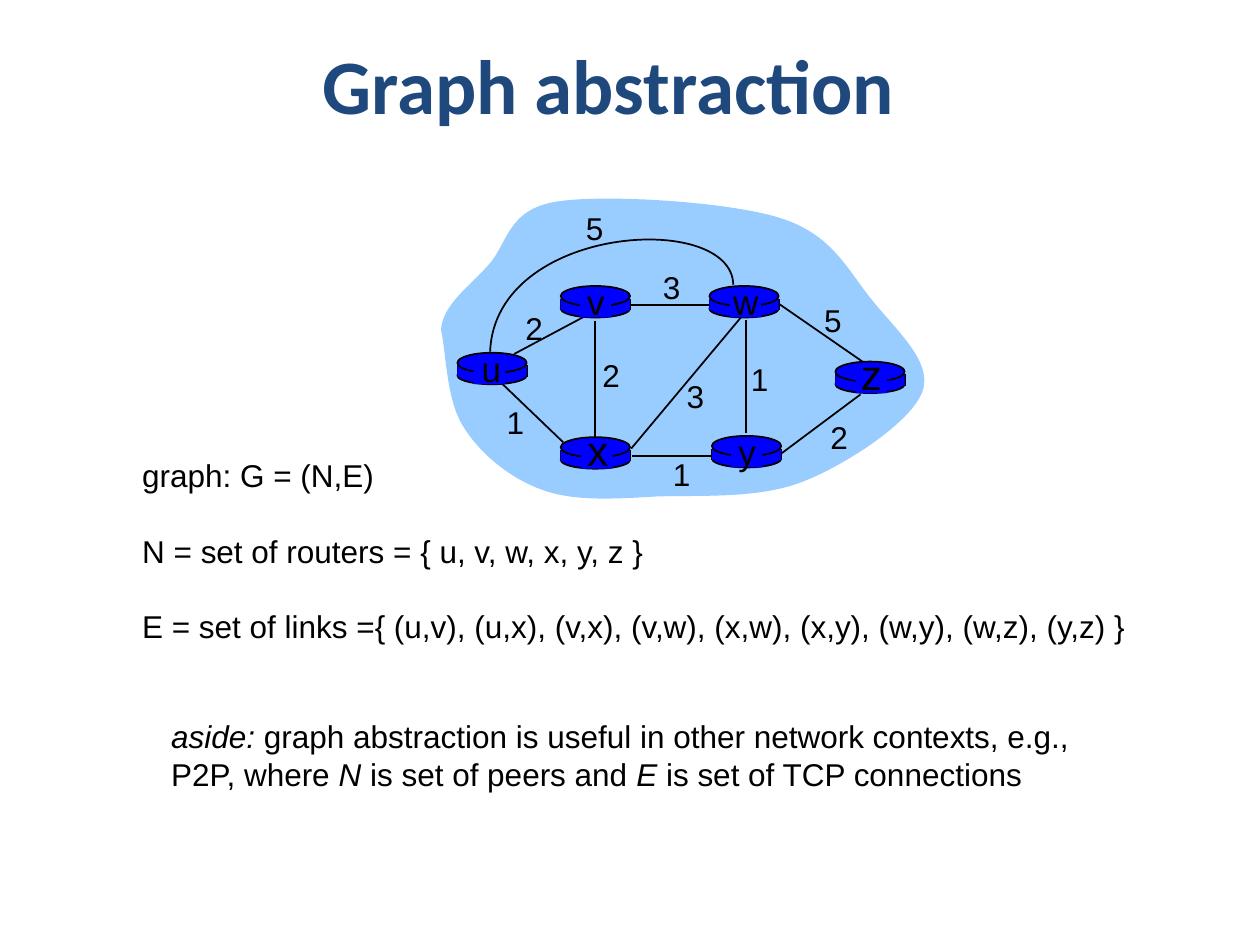
from pptx import Presentation
from pptx.dml.color import RGBColor
from pptx.enum.shapes import MSO_CONNECTOR, MSO_SHAPE
from pptx.enum.text import MSO_ANCHOR, PP_ALIGN
from pptx.oxml.ns import qn
from pptx.util import Pt
from lxml import etree

PX = 9144
BLACK = RGBColor(0x00, 0x00, 0x00)
BLUE = RGBColor(0x00, 0x00, 0xFF)
SKY = RGBColor(0x99, 0xCC, 0xFF)
NAVY = RGBColor(0x1F, 0x49, 0x7D)
BODY = {"name": "Arial", "size": Pt(18), "bold": False}
TITLE = {"name": "Calibri", "size": Pt(44), "bold": True}

prs = Presentation()
prs.slide_width, prs.slide_height = 1000 * PX, 750 * PX
s = prs.slides.add_slide(prs.slide_layouts[6])


def add_text(box, paragraphs, fmt, color=BLACK, align=PP_ALIGN.CENTER, wrap=False, gap=0):
    tf = s.shapes.add_textbox(*(v * PX for v in box)).text_frame
    tf.word_wrap = wrap
    for i, runs in enumerate(paragraphs):
        p = tf.add_paragraph() if i else tf.paragraphs[0]
        p.alignment = align
        p.line_spacing = Pt(fmt["size"].pt * 1.2)
        if i:
            p.space_before = Pt(gap)
        for words, italic in runs:
            r = p.add_run()
            r.text = words
            for key, value in {**fmt, "italic": italic}.items():
                setattr(r.font, key, value)
            r.font.color.rgb = color
    return tf


def add_curve(points, closed):
    builder = s.shapes.build_freeform(*points[0], scale=PX)
    builder.add_line_segments(points[1:], close=closed)
    sp = builder.convert_to_shape()
    sp.shadow.inherit = False
    steps = list(sp._element.iter(qn("a:lnTo")))
    for i in range(0, len(points) - 1, 3):
        bezier = etree.Element(qn("a:cubicBezTo"))
        steps[i].addprevious(bezier)
        for step in steps[i:i + 3]:
            bezier.append(step[0])
            step.getparent().remove(step)
    return sp


cloud = add_curve([
    (350, 262), (351, 242), (373, 227), (388, 210), (403, 193), (403, 166), (442, 160),
    (480, 154), (578, 160), (619, 173), (661, 186), (673, 215), (692, 238),
    (710, 261), (741, 287), (732, 311), (723, 335), (673, 368), (638, 382),
    (603, 396), (557, 393), (522, 394), (488, 396), (456, 398), (431, 389),
    (405, 380), (381, 360), (368, 339), (354, 318), (354, 278), (350, 262)], True)
cloud.fill.solid()
cloud.fill.fore_color.rgb = SKY
cloud.line.fill.background()

routers = [("u", 363, 280, 20, 13, 9, 36), ("x", 445, 347, 24, 16, 11, 37),
           ("v", 445, 227, 20, 15, 11, 34), ("w", 563, 227, 20, 16, 9, 40),
           ("y", 565, 346, 20, 15, 11, 34), ("z", 663, 287, 24, 16, 10, 37)]
lines = [(408, 281, 468, 249), (592, 254, 592, 344), (472, 255, 472, 348),
         (501, 356, 588, 252), (620, 360, 683, 313), (565, 362, 502, 362),
         (447, 351, 399, 305), (564, 242, 501, 242), (686, 288, 618, 241)]
for label, x, y, *_ in routers:
    lines += [(x + side, y + 10, x + side, y + 19) for side in (0, 55)]
for ends in lines:
    c = s.shapes.add_connector(MSO_CONNECTOR.STRAIGHT, *(v * PX for v in ends))
    c.line.color.rgb = BLACK
    c.line.width = Pt(1)
    etree.SubElement(c._element.spPr, qn("a:effectLst"))

arc = add_curve([(582, 226), (581, 167), (393, 178), (389, 279)], False)
arc.fill.background()
arc.line.color.rgb = BLACK
arc.line.width = Pt(1)

for label, x, y, size, patch, inset, width in routers:
    for kind, dx, dy, w, h, outlined in [
            (MSO_SHAPE.OVAL, 0, 11, 55, 14, True), (MSO_SHAPE.RECTANGLE, 0, 10, 55, 9, False),
            (MSO_SHAPE.OVAL, 0, 0, 55, 16, True), (MSO_SHAPE.RECTANGLE, patch, 2, 25, 23, False)]:
        sp = s.shapes.add_shape(kind, (x + dx) * PX, (y + dy) * PX, w * PX, h * PX)
        sp.shadow.inherit = False
        sp.fill.solid()
        sp.fill.fore_color.rgb = BLUE
        if outlined:
            sp.line.color.rgb = BLACK
            sp.line.width = Pt(1)
        else:
            sp.line.fill.background()
    top, height = (y - 9, 43) if size == 20 else (y - 15, 50)
    add_text((x + inset, top, width, height), [[(label, False)]], {**BODY, "size": Pt(size)})

costs = [("2", 407, 240), ("2", 468, 278), ("1", 392, 315), ("3", 535, 294), ("1", 524, 356),
         ("1", 586, 281), ("2", 649, 327), ("5", 644, 234), ("3", 516, 208), ("5", 455, 161)]
for cost, x, y in costs:
    add_text((x, y, 34, 40), [[(cost, False)]], BODY)

add_text((103, 357, 809, 160), [
    [("graph: G = (N,E)", False)],
    [("N = set of routers = { u, v, w, x, y, z }", False)],
    [("E = set of links ={ (u,v), (u,x), (v,x), (v,w), (x,w), (x,y), (w,y), (w,z), (y,z) }", False)],
], BODY, align=PP_ALIGN.LEFT, gap=21.6)

title = add_text((58, 23, 850, 87), [[("Graph abstraction", False)]], TITLE, NAVY, wrap=True)
title.vertical_anchor = MSO_ANCHOR.MIDDLE

add_text((126, 564, 740, 70), [
    [("aside:", True), (" graph abstraction is useful in other network contexts, e.g.,", False)],
    [("P2P, where ", False), ("N", True), (" is set of peers and ", False),
     ("E", True), (" is set of TCP connections", False)],
], BODY, align=PP_ALIGN.LEFT)

prs.save("out.pptx")
